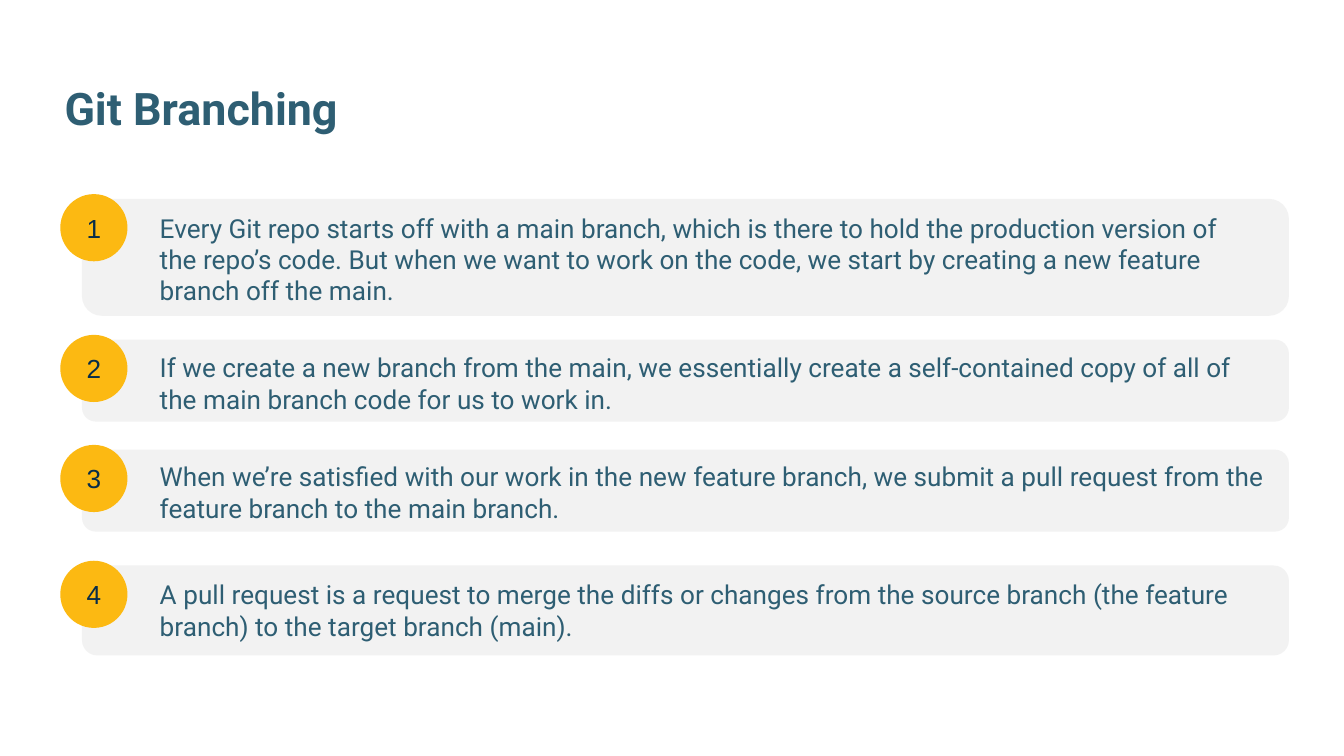
"""Build the Git Branching slide: four numbered steps on rounded panels."""
from pptx import Presentation
from pptx import util as u
from pptx.dml.color import RGBColor
from pptx.enum import shapes, text

TITLE = "Git Branching"
STEPS = [
    {"top": 3.76, "height": 2.21, "text_top": 3.76, "text_width": 20.93,
     "words": "Every Git repo starts off with a main branch, which is there to hold the "
              "production version of the repo’s code. But when we want to work on the code, "
              "we start by creating a new feature branch off the main."},
    {"top": 6.42, "height": 1.55, "text_top": 6.4, "text_width": 20.93,
     "words": "If we create a new branch from the main, we essentially create a "
              "self-contained copy of all of the main branch code for us to work in."},
    {"top": 8.5, "height": 1.55, "text_top": 8.46, "text_width": 21.44,
     "words": "When we’re satisfied with our work in the new feature branch, we submit a "
              "pull request from the feature branch to the main branch."},
    {"top": 10.69, "height": 1.7, "text_top": 10.69, "text_width": 20.93,
     "words": "A pull request is a request to merge the diffs or changes from the source "
              "branch (the feature branch) to the target branch (main)."},
]
COLORS = {"panel": "F2F2F2", "disc": "FCB912", "text": "2E5E73", "number": "082D49"}
PANEL_LEFT, PANEL_WIDTH = 1.55, 22.81
DISC_LEFT, DISC_SIZE, DISC_RISE = 1.14, 1.27, 0.09
TEXT_LEFT, TEXT_HEIGHT = 2.77, 1.12
INSET = 0.25


def add_filled(page, kind, color, *place):
    shape = page.shapes.add_shape(kind, *map(u.Cm, place))
    shape.shadow.inherit = False
    shape.fill.solid()
    shape.fill.fore_color.rgb = RGBColor.from_string(COLORS[color])
    shape.line.fill.background()
    return shape


def write(shape, words, size, font, color, bold=False,
          align=text.PP_ALIGN.LEFT, anchor=text.MSO_ANCHOR.TOP):
    frame = shape.text_frame
    frame.word_wrap = True
    frame.vertical_anchor = anchor
    frame.margin_left = frame.margin_right = u.Cm(INSET)
    frame.margin_top = frame.margin_bottom = u.Cm(INSET)
    para = frame.paragraphs[0]
    para.alignment = align
    span = para.add_run()
    span.text = words
    span.font.size = u.Pt(size)
    span.font.name = font
    span.font.bold = bold
    span.font.color.rgb = RGBColor.from_string(COLORS[color])


def add_text(page, words, size, *place, bold=False):
    box = page.shapes.add_textbox(*map(u.Cm, place))
    write(box, words, size, "Roboto", "text", bold)


def add_step(page, number, step):
    panel = add_filled(page, shapes.MSO_SHAPE.ROUNDED_RECTANGLE, "panel",
                       PANEL_LEFT, step["top"], PANEL_WIDTH, step["height"])
    panel.adjustments[0] = 0.17
    add_text(page, step["words"], 14,
             TEXT_LEFT, step["text_top"], step["text_width"], TEXT_HEIGHT)
    disc = add_filled(page, shapes.MSO_SHAPE.OVAL, "disc",
                      DISC_LEFT, step["top"] - DISC_RISE, DISC_SIZE, DISC_SIZE)
    write(disc, str(number), 14, "Arial", "number",
          align=text.PP_ALIGN.CENTER, anchor=text.MSO_ANCHOR.MIDDLE)


def main():
    deck = Presentation()
    deck.slide_width, deck.slide_height = u.Cm(25.4), u.Cm(14.29)
    page = deck.slides.add_slide(deck.slide_layouts[6])
    add_text(page, TITLE, 24, 0.97, 1.27, 23.57, 1.96, bold=True)
    for number, step in enumerate(STEPS, 1):
        add_step(page, number, step)
    deck.save("out.pptx")


if __name__ == "__main__":
    main()
